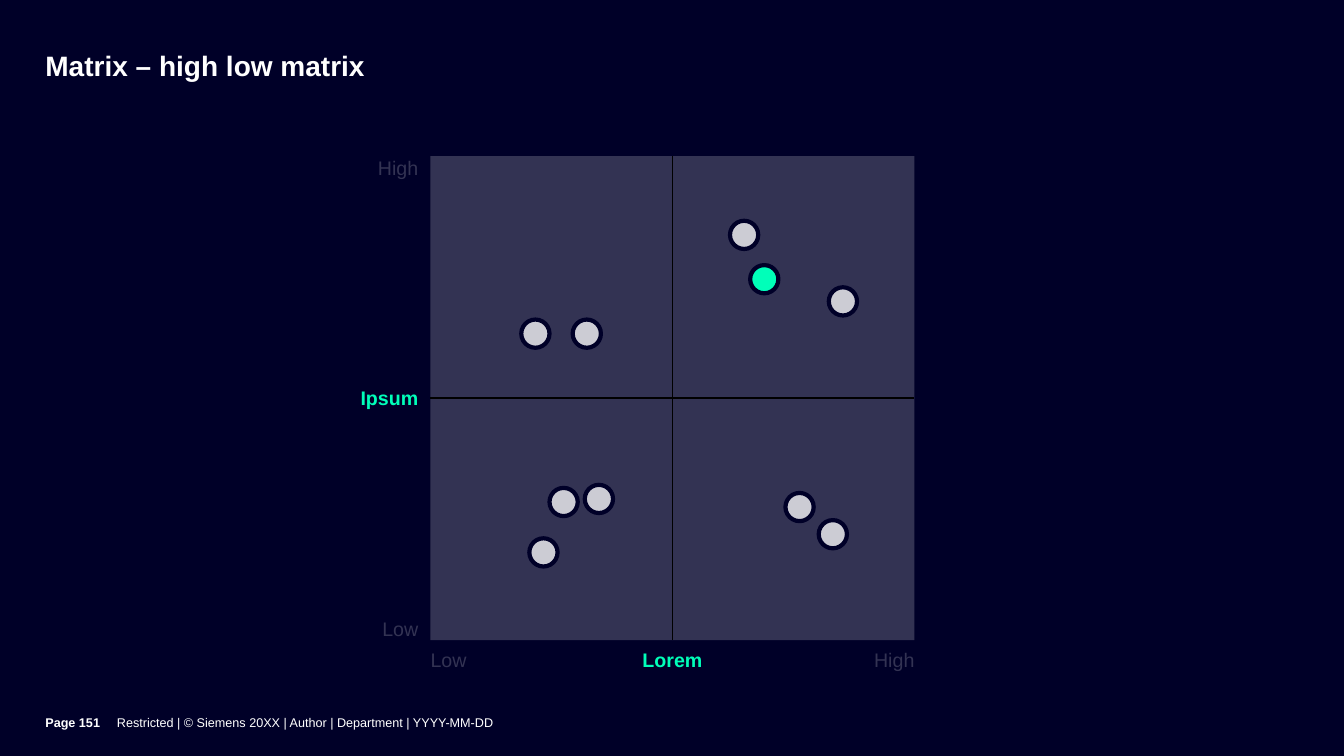
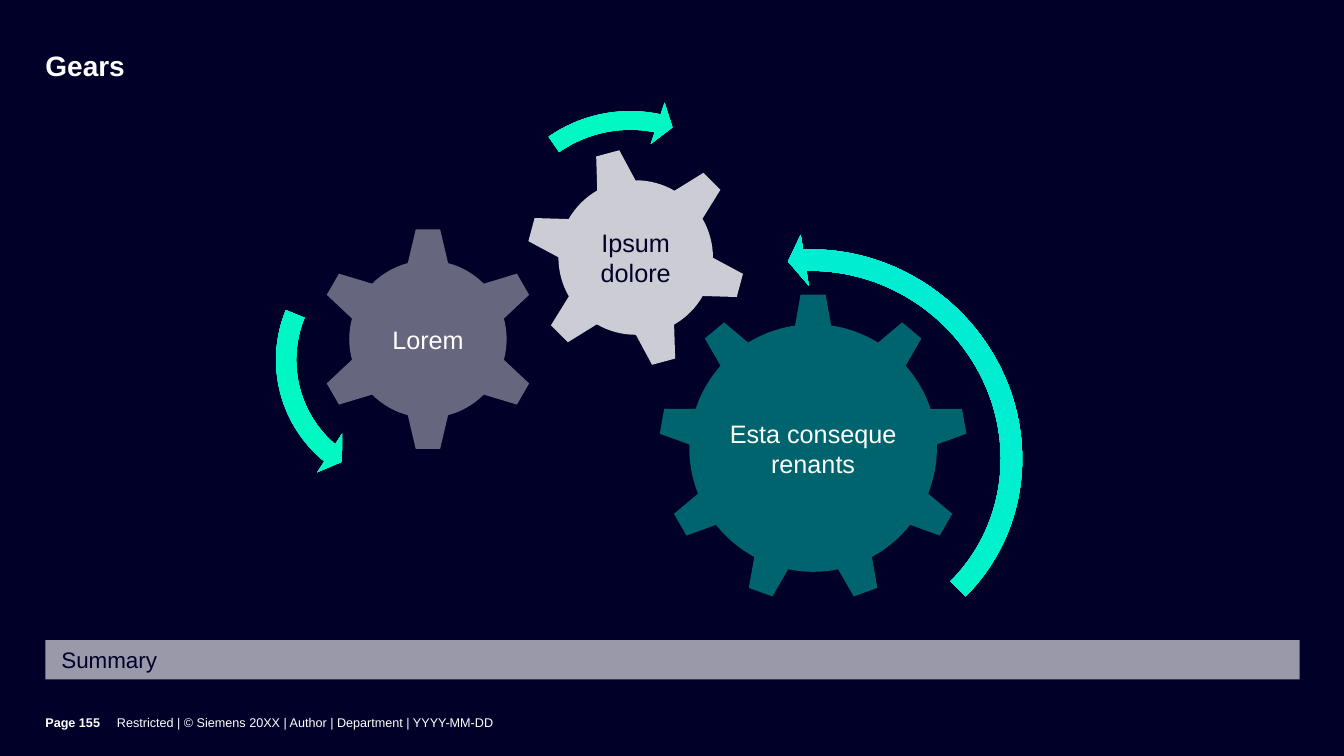
from dataclasses import dataclass

from lxml import etree
from pptx import Presentation
from pptx.dml.color import RGBColor
from pptx.enum.shapes import MSO_CONNECTOR, MSO_SHAPE
from pptx.enum.text import MSO_ANCHOR, MSO_AUTO_SIZE, PP_ALIGN
from pptx.oxml.ns import qn
from pptx.util import Inches, Pt

LEFT, MID, RIGHT = PP_ALIGN.LEFT, PP_ALIGN.CENTER, PP_ALIGN.RIGHT
TOP, CENTER, BASE = MSO_ANCHOR.TOP, MSO_ANCHOR.MIDDLE, MSO_ANCHOR.BOTTOM
RECT, OVAL = MSO_SHAPE.RECTANGLE, MSO_SHAPE.OVAL
GEAR_6, GEAR_9 = MSO_SHAPE.GEAR_6, MSO_SHAPE.GEAR_9
TURN, BACK = MSO_SHAPE.CIRCULAR_ARROW, MSO_SHAPE.LEFT_CIRCULAR_ARROW
LINE = MSO_CONNECTOR.STRAIGHT
NO_FIT = MSO_AUTO_SIZE.NONE


@dataclass(frozen=True)
class Theme:
    font: str = "Arial"
    navy: str = "000028"
    slate: str = "333353"
    steel: str = "66667E"
    gray: str = "9999A9"
    pale: str = "CCCCD4"
    teal: str = "00646E"
    mint: str = "00FFB9"
    aqua: str = "00E6DC"
    white: str = "FFFFFF"
    black: str = "000000"
    title: int = 20
    gear: int = 18
    band: int = 16
    axis: int = 14
    foot: int = 9


T = Theme()
EDGE = 0.45
FOOT = "Restricted | © Siemens 20XX | Author | Department | YYYY-MM-DD"


def rgb(color):
    return RGBColor.from_string(color)


def inches(*values):
    return [Inches(v) for v in values]


def write(shape, text, size, color, bold=False, align=LEFT, anchor=CENTER,
          inset=(0, 0, 0, 0)):
    frame = shape.text_frame
    frame.word_wrap = True
    frame.auto_size = NO_FIT
    frame.vertical_anchor = anchor
    (frame.margin_left, frame.margin_top,
     frame.margin_right, frame.margin_bottom) = inches(*inset)
    frame.text = text
    para = frame.paragraphs[0]
    para.alignment = align
    font = para.font
    font.name, font.size, font.bold = T.font, Pt(size), bold
    font.color.rgb = rgb(color)
    return para


def label(slide, box, text, size, color, **style):
    return write(slide.shapes.add_textbox(*inches(*box)), text, size, color,
                 **style)


def block(slide, kind, box, fill=None, edge=None, width=0):
    shape = slide.shapes.add_shape(kind, *inches(*box))
    shape.shadow.inherit = False
    if fill:
        shape.fill.solid()
        shape.fill.fore_color.rgb = rgb(fill)
    if edge:
        shape.line.color.rgb = rgb(edge)
        shape.line.width = Pt(width)
    else:
        shape.line.fill.background()
    return shape


def rule(slide, start, end):
    line = slide.shapes.add_connector(LINE, *inches(*start, *end))
    line.line.color.rgb = rgb(T.black)
    line.line.width = Pt(1)
    etree.SubElement(line._element.spPr, qn("a:effectLst"))


def page(deck, title, number):
    slide = deck.slides.add_slide(deck.slide_layouts[5])
    head = slide.shapes.title
    head.left, head.top, head.width, head.height = inches(
        EDGE, 0.52, 10.79, 0.63)
    para = write(head, title, T.title, T.white, bold=True, anchor=TOP,
                 inset=(0, 0, 0.35, 0.02))
    para.line_spacing = 0.9
    pad = (0, 0, 0, 0.07)
    label(slide, (1.16, 6.9, 10.08, 0.6), FOOT, T.foot, T.white, inset=pad)
    label(slide, (EDGE, 6.9, 0.71, 0.6), f"Page {number}", T.foot, T.white,
          bold=True, inset=pad)
    return slide


def matrix(slide, left, top, side, dots, star):
    right, base, half = left + side, top + side, side / 2
    block(slide, RECT, (left, top, side, side), T.slate)
    rule(slide, (left, top + half), (right, top + half))
    rule(slide, (left + half, top), (left + half, base))

    wide, tall, gap = 0.79, 0.39, 0.12
    beside, below = (0, 0, gap, 0), (0, 0.08, 0, 0)
    marks = [
        ("Ipsum", (left - 2 * wide, top, 2 * wide, side), RIGHT, CENTER, beside),
        ("High", (left - wide, top, wide, tall), RIGHT, TOP, beside),
        ("Low", (left - wide, base - tall, wide, tall), RIGHT, BASE, beside),
        ("Lorem", (left, base, side, tall), MID, TOP, below),
        ("Low", (left, base, wide, tall), LEFT, TOP, below),
        ("High", (right - wide, base, wide, tall), RIGHT, TOP, below),
    ]
    for text, box, align, anchor, inset in marks:
        name = text in ("Ipsum", "Lorem")
        label(slide, box, text, T.axis, T.mint if name else T.slate,
              bold=name, align=align, anchor=anchor, inset=inset)

    for dot in dots:
        x, y = dot
        block(slide, OVAL, (left + x, top + y, 0.28, 0.28),
              T.mint if dot == star else T.pale, T.navy, 3)


def gear(slide, kind, left, top, side, fill, text, color, width, angle=0):
    wheel = block(slide, kind, (left, top, side, side), fill)
    wheel.rotation = angle
    inset = (side - width) / 2
    label(slide, (left + inset, top + inset, width, width), text, T.gear,
          color, align=MID, inset=(0.03,) * 4)


def arrow(slide, kind, box, angle, bends, flip=False):
    shape = block(slide, kind, box)
    for i, bend in enumerate(bends):
        shape.adjustments[i] = bend
    shape.rotation = angle
    if flip:
        shape._element.spPr.find(qn("a:xfrm")).set("flipV", "1")
    shape.fill.gradient()
    shape.fill.gradient_angle = 0
    for stop, color, spot in zip(shape.fill.gradient_stops,
                                 (T.mint, T.aqua), (0, 1)):
        stop.color.rgb = rgb(color)
        stop.position = spot


def gears(slide, left, top):
    wheels = [
        (GEAR_9, 3.92, 1.93, 3.07, T.teal, "Esta conseque\vrenants", T.white,
         1.84, 0),
        (GEAR_6, 0.52, 1.27, 2.23, T.steel, "Lorem", T.white, 1.11, 0),
        (GEAR_6, 2.6, 0.48, 2.19, T.pale, "Ipsum dolore", T.navy, 1.23, 345),
    ]
    for kind, x, y, *rest in wheels:
        gear(slide, kind, left + x, top + y, *rest)

    turns = [
        (TURN, 3.38, 1.3, 4.25, 4.4, 308.2,
         (0.05, 2.99, 25.34, 158.23, 0.06), True),
        (BACK, 0, 1.16, 2.86, 2.86, 315,
         (0.07, 4.3, 104.89, 148.38, 0.08), False),
        (TURN, 2.1, 0, 3.08, 3.08, 60,
         (0.06, 3.94, 133.14, 105.08, 0.07), False),
    ]
    for kind, x, y, width, height, angle, bends, flip in turns:
        arrow(slide, kind, (left + x, top + y, width, height), angle, bends,
              flip)


def band(slide, box, text):
    write(block(slide, RECT, box, T.gray), text, T.band, T.navy,
          inset=(0.16, 0.08, 0.16, 0.08))


def main():
    deck = Presentation()
    deck.slide_width, deck.slide_height = inches(13.33, 7.5)
    fill = deck.slide_master.background.fill
    fill.solid()
    fill.fore_color.rgb = rgb(T.navy)

    star = (3.17, 1.08)
    dots = [(2.97, 0.64), (3.95, 1.3), star, (0.9, 1.62), (1.41, 1.62),
            (0.98, 3.79), (1.18, 3.29), (1.53, 3.26), (3.52, 3.34),
            (3.85, 3.61)]
    matrix(page(deck, "Matrix – high low matrix", 151), 4.27, 1.55, 4.8,
           dots, star)

    slide = page(deck, "Gears", 155)
    gears(slide, 2.61, 0.98)
    band(slide, (EDGE, 6.35, 12.44, 0.39), "Summary")

    deck.save("out.pptx")


if __name__ == "__main__":
    main()
